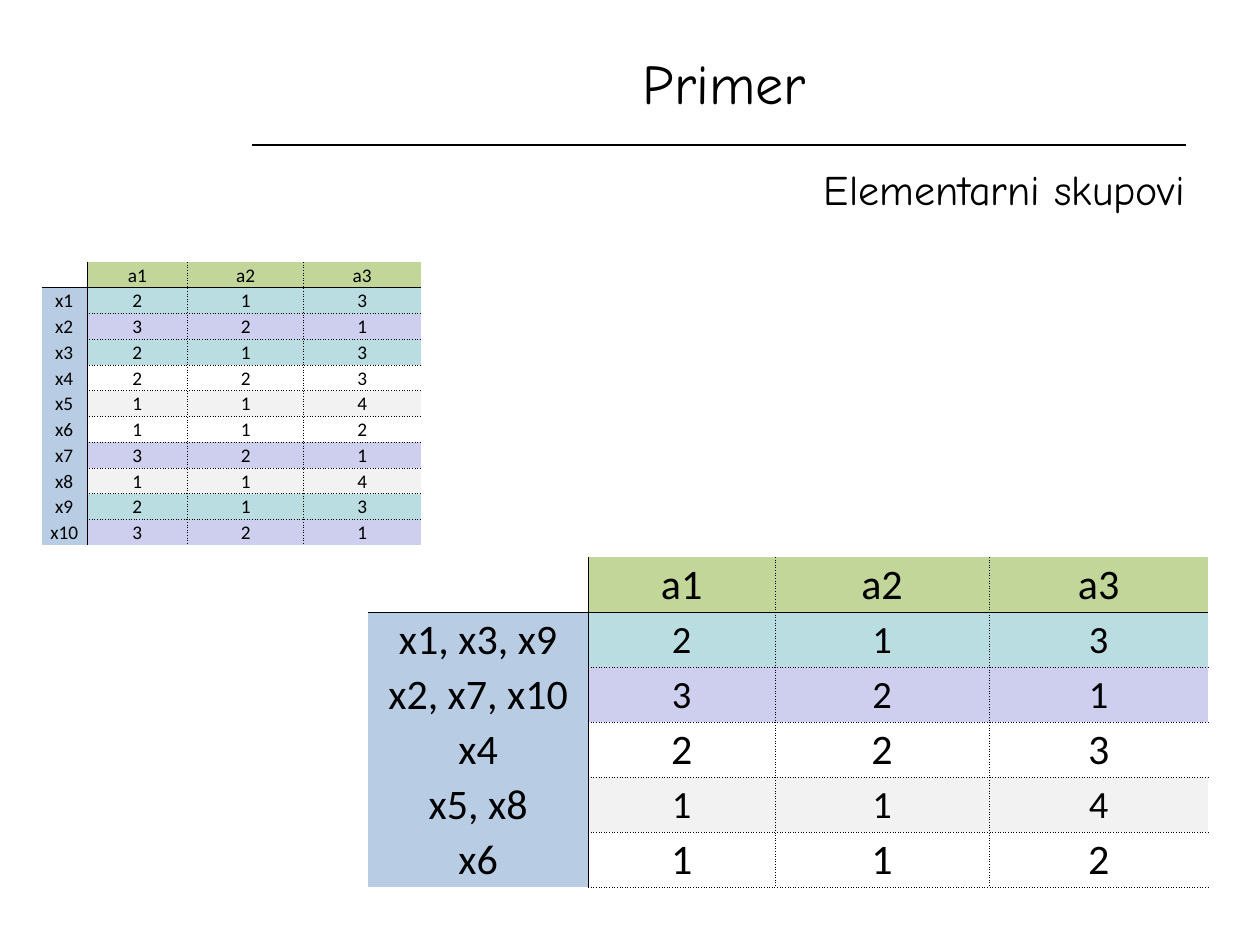
from lxml.etree import SubElement
from pptx import Presentation
from pptx.dml.color import RGBColor
from pptx.enum.shapes import MSO_CONNECTOR as Connector
from pptx.enum.text import MSO_ANCHOR as Anchor, PP_ALIGN as Align
from pptx.oxml.ns import qn
from pptx.util import Inches, Pt

TITLE = "Primer"
SUBTITLE = "Elementarni skupovi"
ATTRIBUTES = ("a1", "a2", "a3")

OBJECTS = {
    "x1": (2, 1, 3), "x2": (3, 2, 1), "x3": (2, 1, 3), "x4": (2, 2, 3), "x5": (1, 1, 4),
    "x6": (1, 1, 2), "x7": (3, 2, 1), "x8": (1, 1, 4), "x9": (2, 1, 3), "x10": (3, 2, 1),
}
ELEMENTARY_SETS = {
    "x1, x3, x9": (2, 1, 3), "x2, x7, x10": (3, 2, 1), "x4": (2, 2, 3),
    "x5, x8": (1, 1, 4), "x6": (1, 1, 2),
}

THEME = {
    "ink": "000000", "header": "C2D69A", "label": "B8CCE4",
    "heading_font": "Comic Neue", "table_font": "Calibri",
    "title": 32, "subtitle": 24, "large": 24, "large_tinted": 22, "small": 11,
    "rule": 0.75, "border": 0.5,
    "tints": {(2, 1, 3): "BADDE1", (3, 2, 1): "CECEEF", (1, 1, 4): "F2F2F2"},
}


def write(frame, text, *, size, font, align=Align.CENTER, anchor=Anchor.MIDDLE, before=0):
    """Put one formatted paragraph into a text frame."""
    frame.word_wrap = True
    frame.vertical_anchor = anchor
    paragraph = frame.paragraphs[0]
    paragraph.alignment = align
    paragraph.space_before = Pt(before)
    if not text:
        SubElement(paragraph._p, qn("a:endParaRPr"), sz=str(size * 100))
        return
    run = paragraph.add_run()
    run.text = text
    run.font.size = Pt(size)
    run.font.name = font
    run.font.color.rgb = RGBColor.from_string(THEME["ink"])


def add_heading(slide, text, box, **text_format):
    """Add a text box in the heading font."""
    shape = slide.shapes.add_textbox(*map(Inches, box))
    write(shape.text_frame, text, font=THEME["heading_font"], **text_format)


def add_rule(slide, left, right, top):
    """Add the horizontal line under the title."""
    ends = map(Inches, (left, top, right, top))
    line = slide.shapes.add_connector(Connector.STRAIGHT, *ends)
    line.line.color.rgb = RGBColor.from_string(THEME["ink"])
    line.line.width = Pt(THEME["rule"])
    SubElement(line._element.spPr, qn("a:effectLst"))


def set_borders(cell, **sides):
    """Set each side of a cell to a dash style, or to no line for None."""
    properties = cell._tc.get_or_add_tcPr()
    for side, dash in sides.items():
        border = SubElement(properties, qn(f"a:ln{side}"), w=str(Pt(THEME["border"])))
        if dash is None:
            SubElement(border, qn("a:noFill"))
            continue
        fill = SubElement(border, qn("a:solidFill"))
        SubElement(fill, qn("a:srgbClr"), val=THEME["ink"])
        SubElement(border, qn("a:prstDash"), val=dash)


def add_information_table(slide, records, box, widths, size, tinted_size, closing):
    """Add a table of records whose equal value rows share a tint."""
    rows = [("", *ATTRIBUTES)] + [(name, *values) for name, values in records.items()]
    frame = slide.shapes.add_table(len(rows), len(widths), *map(Inches, box))
    table = frame.table
    table.first_row = table.horz_banding = False
    for column, width in zip(table.columns, widths):
        column.width = Inches(width)
    last_row, last_column = len(rows) - 1, len(widths) - 1

    def vertical(column):
        if column < 0 or column == last_column:
            return None
        return "solid" if column == 0 else "dot"

    def horizontal(row, column):
        if row == 0:
            return "solid"
        if row < 0 or column == 0:
            return None
        return closing if row == last_row else "dot"

    for r, values in enumerate(rows):
        tint = THEME["header"] if r == 0 else THEME["tints"].get(values[1:])
        for c, value in enumerate(values):
            cell = table.cell(r, c)
            cell.margin_left = cell.margin_right = cell.margin_top = Inches(0.01)
            cell.margin_bottom = 0
            cell.vertical_anchor = Anchor.MIDDLE
            text_size = tinted_size if r and c and tint else size
            write(cell.text_frame, str(value), size=text_size, font=THEME["table_font"])
            set_borders(cell, L=vertical(c - 1), R=vertical(c),
                        T=horizontal(r - 1, c), B=horizontal(r, c))
            color = tint if c else THEME["label"]
            if color and (r or c):
                cell.fill.solid()
                cell.fill.fore_color.rgb = RGBColor.from_string(color)
            else:
                cell.fill.background()


def main():
    """Build the slide and save it."""
    presentation = Presentation()
    presentation.slide_width, presentation.slide_height = Inches(10), Inches(7.5)
    slide = presentation.slides.add_slide(presentation.slide_layouts[6])
    add_rule(slide, 2, 9.41, 1.15)
    add_heading(slide, TITLE, (2, 0.28, 7.5, 0.75), size=THEME["title"])
    add_heading(slide, SUBTITLE, (3.17, 1.25, 6.33, 0.5), size=THEME["subtitle"],
                align=Align.RIGHT, anchor=Anchor.TOP, before=4.8)
    add_information_table(slide, ELEMENTARY_SETS, (2.92, 4.42, 6.67, 2.62),
                          (1.75, 1.48, 1.7, 1.74), THEME["large"],
                          THEME["large_tinted"], "dot")
    add_information_table(slide, OBJECTS, (0.33, 2.08, 3, 2.25),
                          (0.36, 0.8, 0.92, 0.93), THEME["small"], THEME["small"], None)
    presentation.save("out.pptx")


if __name__ == "__main__":
    main()
